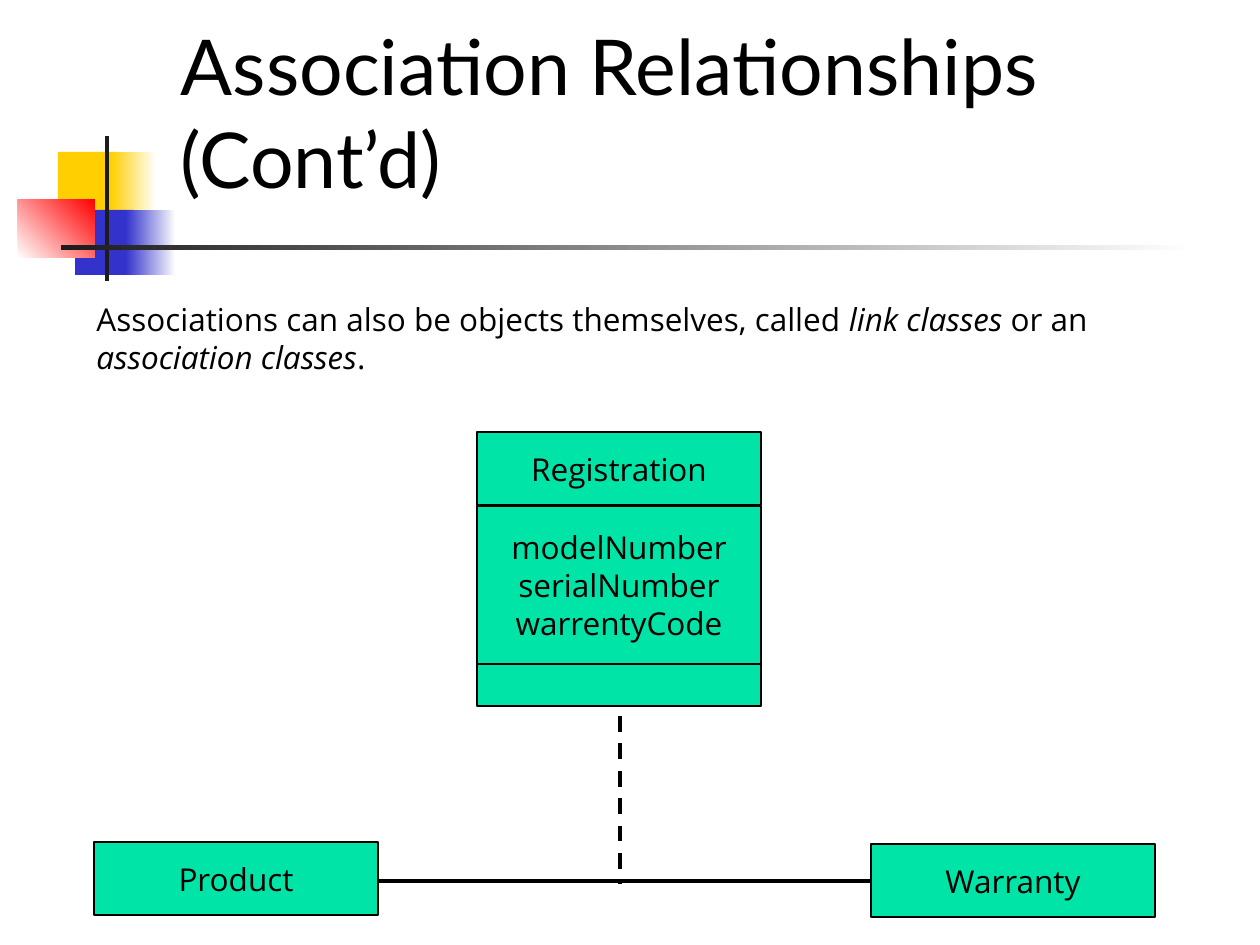
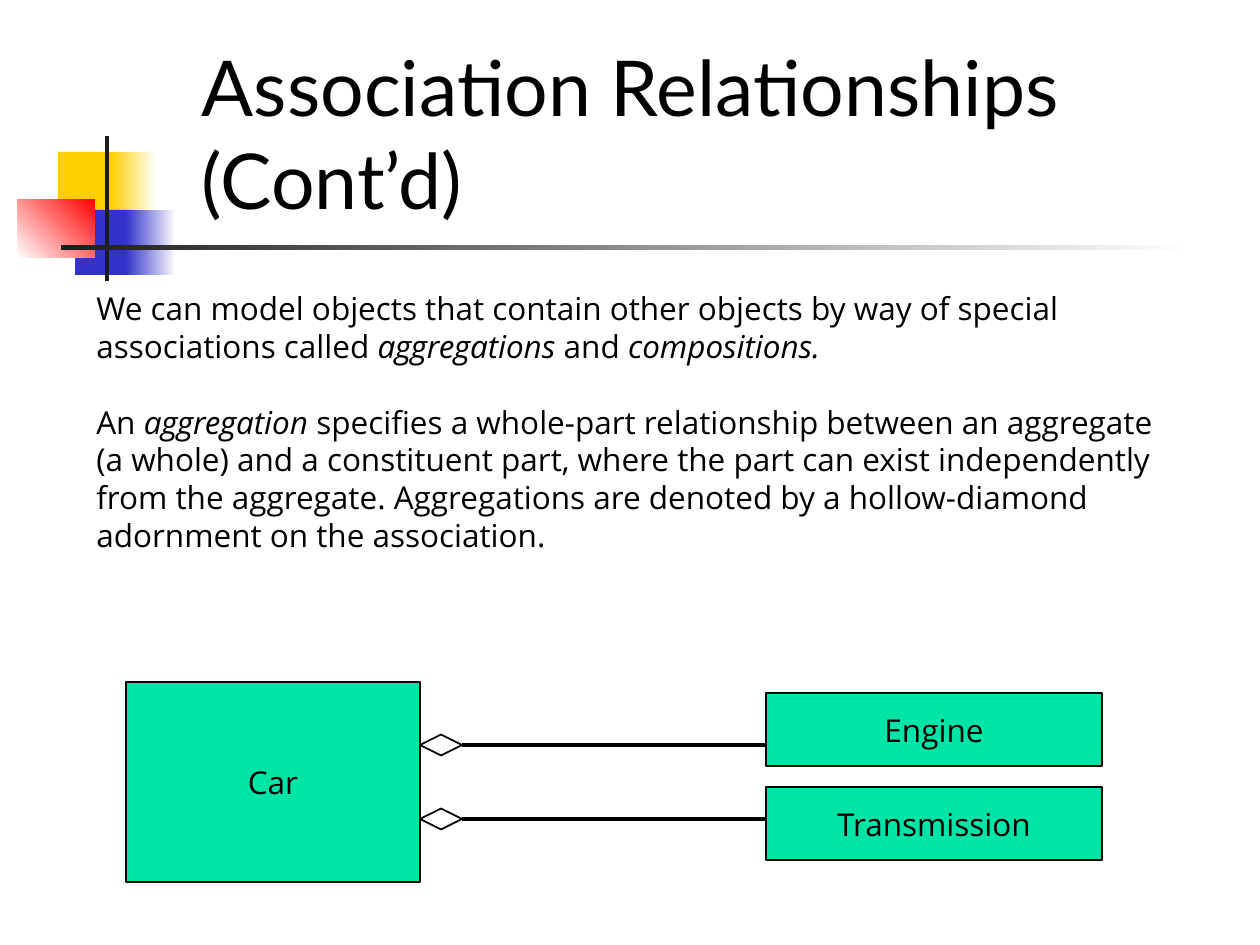
from lxml import etree
from pptx import Presentation
from pptx.dml.color import RGBColor
from pptx.enum.dml import MSO_LINE
from pptx.enum.shapes import MSO_CONNECTOR, MSO_SHAPE
from pptx.enum.text import MSO_ANCHOR, MSO_AUTO_SIZE, PP_ALIGN
from pptx.oxml.ns import qn
from pptx.util import Emu, Inches, Pt

RECTANGLE = MSO_SHAPE.RECTANGLE
STRAIGHT = MSO_CONNECTOR.STRAIGHT
DASH = MSO_LINE.DASH
LEFT, CENTER = PP_ALIGN.LEFT, PP_ALIGN.CENTER
TOP, MIDDLE, BOTTOM = MSO_ANCHOR.TOP, MSO_ANCHOR.MIDDLE, MSO_ANCHOR.BOTTOM
NO_FIT = MSO_AUTO_SIZE.NONE

BLACK = RGBColor(0x00, 0x00, 0x00)
WHITE = RGBColor(0xFF, 0xFF, 0xFF)
YELLOW = RGBColor(0xFF, 0xCF, 0x01)
BLUE = RGBColor(0x33, 0x33, 0xCC)
RED = RGBColor(0xFF, 0x00, 0x00)
CHARCOAL = RGBColor(0x1C, 0x1C, 0x1C)
GREEN = RGBColor(0x00, 0xE4, 0xA8)

TITLE_FONT, BODY_FONT = "Lato", "Open Sans"
TITLE_SIZE, BODY_SIZE = Pt(44), Pt(18)
BODY_LINE = Pt(21.6)
TITLE = "Association Relationships (Cont’d)"
TITLE_ONLY = 5
FIRST_BAND_ID = 100


def px(pixels):
    return Emu(round(pixels * 914400 / 126))


class Deck:
    def __init__(self):
        self.presentation = Presentation()
        self.presentation.slide_width = Inches(10)
        self.presentation.slide_height = Inches(7.5)
        self.layout = self.presentation.slide_layouts[TITLE_ONLY]
        self.slide = None

    def add_slide(self, left, top):
        self.slide = self.presentation.slides.add_slide(self.layout)
        title = self.slide.shapes.title
        title.left, title.top = px(left), px(top)
        title.width, title.height = px(1113), px(73)
        frame = title.text_frame
        frame.auto_size = NO_FIT
        frame.word_wrap = True
        frame.vertical_anchor = BOTTOM
        paragraph = frame.paragraphs[0]
        paragraph.alignment = LEFT
        self.run(paragraph, TITLE, TITLE_FONT, TITLE_SIZE)

    def run(self, paragraph, text, font=BODY_FONT, size=BODY_SIZE, italic=False):
        run = paragraph.add_run()
        run.text = text
        run.font.name, run.font.size = font, size
        run.font.italic = italic
        run.font.color.rgb = BLACK

    def paragraphs(self, frame, texts, alignment, gap=0):
        for index, pieces in enumerate(texts):
            paragraph = frame.add_paragraph() if index else frame.paragraphs[0]
            paragraph.alignment = alignment
            paragraph.line_spacing = BODY_LINE
            if index:
                paragraph.space_before = gap
            for position, piece in enumerate(pieces):
                self.run(paragraph, piece, italic=position % 2 == 1)

    def text(self, left, top, width, height, texts):
        shape = self.slide.shapes.add_textbox(px(left), px(top), px(width), px(height))
        frame = shape.text_frame
        frame.word_wrap = True
        frame.vertical_anchor = TOP
        self.paragraphs(frame, texts, LEFT, BODY_LINE)

    def rectangle(self, left, top, width, height):
        shape = self.slide.shapes.add_shape(
            RECTANGLE, px(left), px(top), px(width), px(height))
        shape.shadow.inherit = False
        return shape

    def outline(self, shape, color, weight):
        shape.fill.solid()
        shape.fill.fore_color.rgb = color
        shape.line.color.rgb = BLACK
        shape.line.width = Pt(weight)

    def box(self, left, top, width, height, *lines):
        shape = self.rectangle(left, top, width, height)
        self.outline(shape, GREEN, 0.75)
        frame = shape.text_frame
        frame.word_wrap = False
        frame.vertical_anchor = MIDDLE
        self.paragraphs(frame, [[line] for line in lines], CENTER)

    def line(self, start, end, dash=None):
        connector = self.slide.shapes.add_connector(
            STRAIGHT, *(px(value) for value in (*start, *end)))
        connector.line.color.rgb = BLACK
        connector.line.width = Pt(2.25)
        if dash:
            connector.line.dash_style = dash
        etree.SubElement(connector.element.spPr, qn("a:effectLst"))

    def diamond(self, left, middle, width, height):
        center, half = left + width / 2, height / 2
        builder = self.slide.shapes.build_freeform(px(left), px(middle))
        builder.add_line_segments([
            (px(center), px(middle - half)),
            (px(left + width), px(middle)),
            (px(center), px(middle + half))], close=True)
        shape = builder.convert_to_shape()
        shape.shadow.inherit = False
        self.outline(shape, WHITE, 1)

    def band(self, left, top, width, height, start, end=None, angle=0):
        shape = self.rectangle(left, top, width, height)
        shape.line.fill.background()
        if end is None:
            shape.fill.solid()
            shape.fill.fore_color.rgb = start
        else:
            shape.fill.gradient()
            shape.fill.gradient_angle = angle
            for stop, color in zip(shape.fill.gradient_stops, (start, end)):
                stop.color.rgb = color
        return shape

    def share_bands(self):
        bands = [
            self.band(58, 152, 60, 65, YELLOW),
            self.band(111, 152, 45, 65, YELLOW, WHITE),
            self.band(75, 210, 58, 65, BLUE),
            self.band(126, 210, 50, 65, BLUE, WHITE),
            self.band(18, 199, 77, 59, WHITE, RED, 45),
            self.band(105, 136, 4, 145, CHARCOAL),
            self.band(61, 245, 1134, 5, CHARCOAL, WHITE),
        ]
        tree = self.layout.shapes.element
        for index, shape in enumerate(bands):
            shape.element.nvSpPr.cNvPr.set("id", str(FIRST_BAND_ID + index))
            tree.insert(2 + index, shape.element)


def link_class_slide(deck):
    deck.add_slide(168, 137)
    deck.share_bands()
    deck.text(84, 294, 1118, 88, [[
        "Associations can also be objects themselves, called ", "link classes",
        " or an ", "association classes", "."]])
    width, height = 284, 73
    deck.line((378, 881), (882, 881))
    deck.box(871, 844, width, height, "Warranty")
    deck.box(94, 842, width, height, "Product")
    deck.line((620, 716), (620, 884), DASH)
    deck.box(477, 664, width, 42)
    deck.box(477, 432, width, height, "Registration")
    deck.box(477, 506, width, 158, "modelNumber", "serialNumber", "warrentyCode")


def aggregation_slide(deck):
    deck.add_slide(189, 158)
    deck.text(84, 283, 1086, 277, [
        ["We can model objects that contain other objects by way of special "
         "associations called ", "aggregations", " and ", "compositions."],
        ["An ", "aggregation",
         " specifies a whole-part relationship between an aggregate (a whole) and a "
         "constituent part, where the part can exist independently from the aggregate. "
         "Aggregations are denoted by a hollow-diamond adornment on the association."]])
    whole_right, part_left, diamond_width = 420, 766, 42
    deck.box(126, 682, whole_right - 126, 200, "Car")
    for part, top, middle in (("Engine", 693, 745), ("Transmission", 787, 819)):
        deck.box(part_left, top, 336, 73, part)
        deck.line((whole_right + diamond_width, middle), (part_left, middle))
        deck.diamond(whole_right, middle, diamond_width, 21)


deck = Deck()
link_class_slide(deck)
aggregation_slide(deck)
deck.presentation.save("out.pptx")
